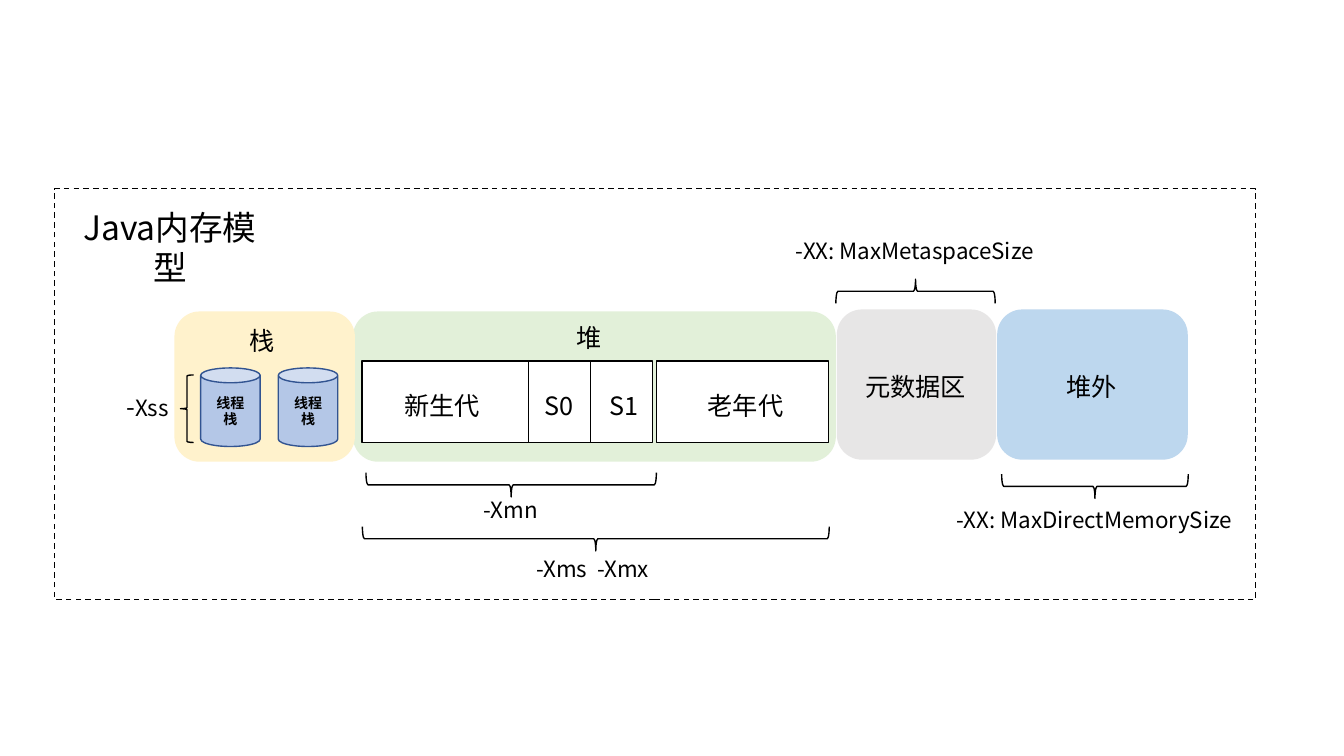
import pptx
import pptx.util
import pptx.dml.color
import pptx.enum.dml
import pptx.enum.shapes
import pptx.enum.text
import pptx.oxml.ns
import lxml.etree

SLIDE_WIDTH, SLIDE_HEIGHT = 13.33, 7.5
COLUMNS, ROWS = 133.3, 75
FONT = "Noto Sans CJK SC"
COLORS = {
    "ink": "000000",
    "heap": "E2F0D9",
    "cell": "FFFFFF",
    "metaspace": "E7E6E6",
    "stack": "FFF2CC",
    "direct": "BDD7EE",
    "thread": "B4C7E7",
    "thread_line": "325491",
}
SHAPES = pptx.enum.shapes.MSO_SHAPE
ANCHORS = pptx.enum.text.MSO_ANCHOR


def color(name):
    return pptx.dml.color.RGBColor.from_string(COLORS[name])


def grid(left, top, width, height):
    column = SLIDE_WIDTH / COLUMNS
    row = SLIDE_HEIGHT / ROWS
    return [pptx.util.Inches(length * unit) for length, unit in
            zip((left, top, width, height), (column, row, column, row))]


def set_attributes(target, values):
    for name, value in values.items():
        setattr(target, name, value)


def write_text(shape, runs, anchor=ANCHORS.TOP, bold=False):
    frame = shape.text_frame
    set_attributes(frame, {
        "word_wrap": True,
        "auto_size": pptx.enum.text.MSO_AUTO_SIZE.NONE,
        "vertical_anchor": anchor,
    })
    paragraph = frame.paragraphs[0]
    set_attributes(paragraph, {
        "alignment": pptx.enum.text.PP_ALIGN.CENTER,
        "line_spacing": 1.0,
        "space_before": pptx.util.Pt(0),
    })
    for text, size in runs:
        run = paragraph.add_run()
        run.text = text
        set_attributes(run.font, {"name": FONT, "size": pptx.util.Pt(size), "bold": bold})
        run.font.color.rgb = color("ink")
        east_asian = lxml.etree.SubElement(run.font._element, pptx.oxml.ns.qn("a:ea"))
        east_asian.set("typeface", FONT)


def add_label(slide, area, *runs):
    write_text(slide.shapes.add_textbox(*grid(*area)), runs)


def add_block(slide, kind, area, fill=None, line=None):
    shape = slide.shapes.add_shape(kind, *grid(*area))
    shape.shadow.inherit = False
    if fill:
        shape.fill.solid()
        shape.fill.fore_color.rgb = color(fill)
    else:
        shape.fill.background()
    if line:
        shape.line.color.rgb = color(line)
        shape.line.width = pptx.util.Pt(1)
    else:
        shape.line.fill.background()
    return shape


def add_brace(slide, left, top, depth, length, rotation=0):
    if rotation:
        left += (length - depth) / 2
        top -= (length - depth) / 2
    brace = add_block(slide, SHAPES.LEFT_BRACE, (left, top, depth, length), line="ink")
    brace.rotation = rotation


def add_title(slide, area, text, size):
    title = slide.shapes.title
    set_attributes(title, dict(zip(("left", "top", "width", "height"), grid(*area))))
    write_text(title, [(text, size)])


def add_heap(slide):
    add_block(slide, SHAPES.ROUNDED_RECTANGLE, (35, 30.9, 47.9, 14.9), "heap")
    add_label(slide, (53.4, 31.5, 10, 3.5), ("堆", 18))
    left = 35.9
    cells = (
        ("新生代", 16.5, 0, 36.7, 14.3),
        ("S0", 6.15, 0, 51.9, 7),
        ("S1", 6.15, 0.4, 58.4, 7),
        ("老年代", 17.1, 0, 66.8, 14.3),
    )
    for text, width, gap, label_left, label_width in cells:
        add_block(slide, SHAPES.RECTANGLE, (left, 35.8, width, 8.1), "cell", "ink")
        add_label(slide, (label_left, 38.2, label_width, 3.5), (text, 18))
        left += width + gap


def add_stack(slide):
    add_block(slide, SHAPES.ROUNDED_RECTANGLE, (17.3, 30.9, 17.9, 14.9), "stack")
    add_label(slide, (19.5, 31.8, 13, 3.5), ("栈", 18))
    for index in range(2):
        thread = add_block(slide, SHAPES.CAN, (19.9 + 7.7 * index, 36.5, 5.9, 7.8),
                           "thread", "thread_line")
        write_text(thread, [("线程栈", 10)], ANCHORS.MIDDLE, True)


def add_other_areas(slide):
    areas = (
        ("元数据区", "metaspace", 83, 15.8, 83.9),
        ("堆外", "direct", 98.9, 18.9, 101.4),
    )
    for text, fill, left, width, label_left in areas:
        add_block(slide, SHAPES.ROUNDED_RECTANGLE, (left, 30.7, width, 14.9), fill)
        add_label(slide, (label_left, 36.3, 13.8, 3.5), (text, 18))


def add_options(slide):
    add_brace(slide, 17.9, 37.2, 1.3, 6.7)
    for left, top, length, rotation in (
        (35.95, 52.25, 46.3, 270),
        (82.9, 27.7, 15.8, 90),
        (36.3, 46.9, 28.8, 270),
        (99.35, 47.05, 18.5, 270),
    ):
        add_brace(slide, left, top, 2.4, length, rotation)
    add_label(slide, (9.5, 38.3, 10.3, 4), ("-", 18), ("Xss", 16))
    for text, left, top, width in (
        ("-Xms  -Xmx", 48.5, 54.6, 20.6),
        ("-XX: MaxMetaspaceSize", 74.5, 23, 32.5),
        ("-Xmn", 43.1, 48.7, 15.1),
        ("-XX: MaxDirectMemorySize", 92.6, 49.7, 31.9),
    ):
        add_label(slide, (left, top, width, 3.7), (text, 16))


def main():
    presentation = pptx.Presentation()
    set_attributes(presentation, {
        "slide_width": pptx.util.Inches(SLIDE_WIDTH),
        "slide_height": pptx.util.Inches(SLIDE_HEIGHT),
    })
    slide = presentation.slides.add_slide(presentation.slide_layouts[5])
    add_title(slide, (6.1, 20, 21.5, 5), "Java内存模型", 24)
    add_heap(slide)
    add_stack(slide)
    add_other_areas(slide)
    add_options(slide)
    frame = add_block(slide, SHAPES.RECTANGLE, (5.4, 18.7, 119.1, 40.8), line="ink")
    frame.line.dash_style = pptx.enum.dml.MSO_LINE.DASH
    presentation.save("out.pptx")


main()
